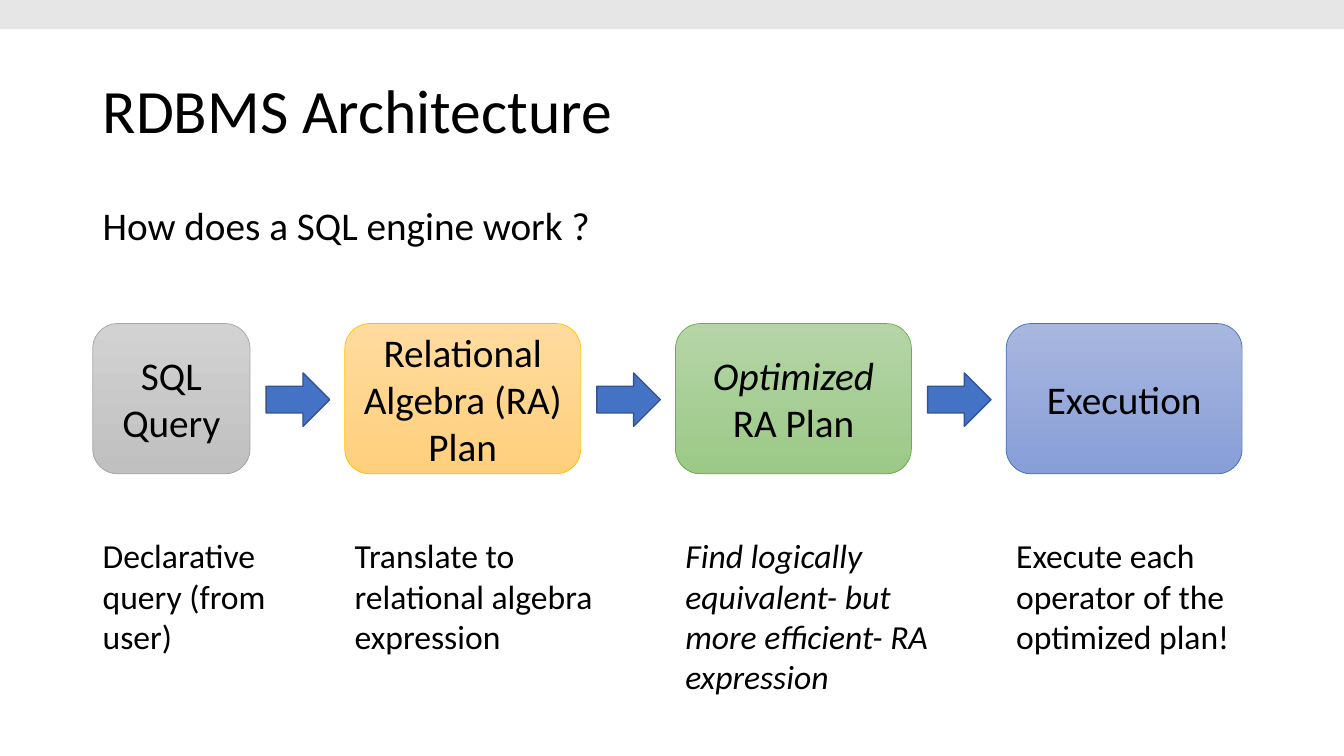
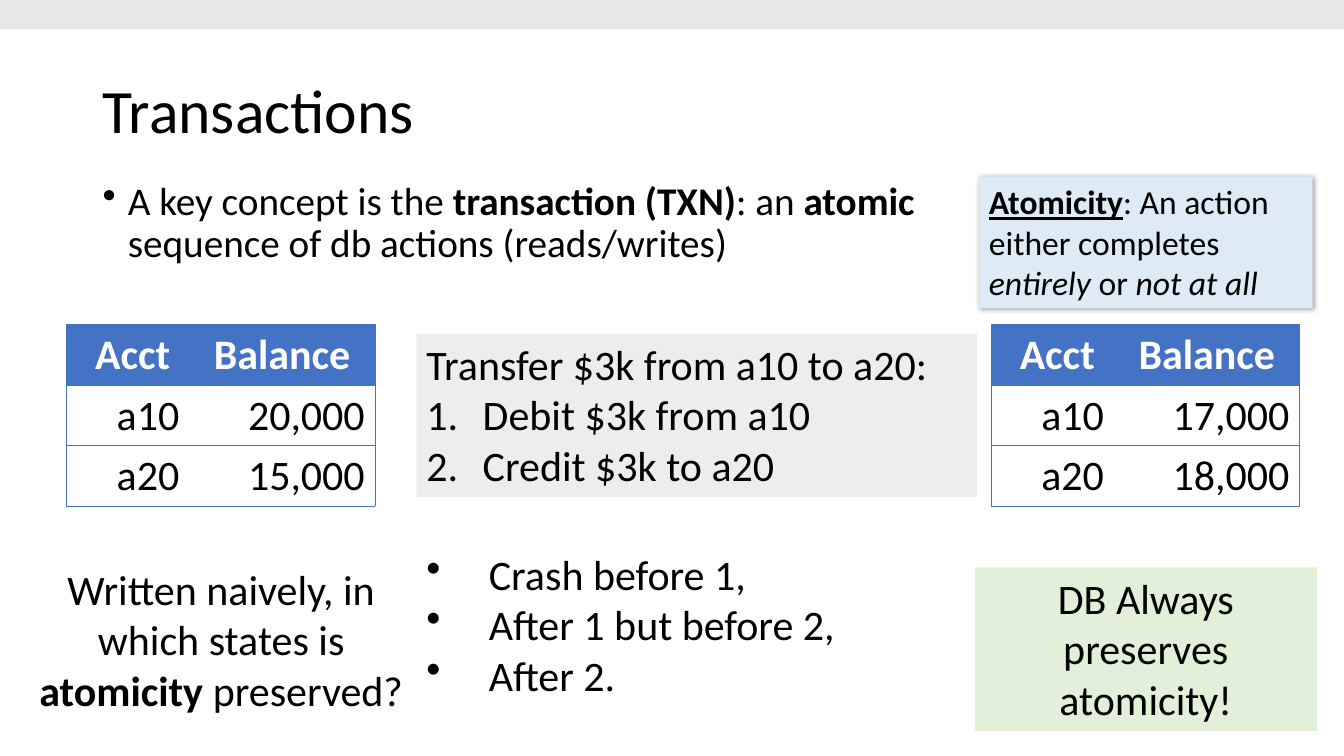
"""Build two slides on SQL engine architecture and database transactions."""
from lxml.etree import SubElement
from pptx import Presentation
from pptx.dml.color import RGBColor
from pptx.enum.shapes import MSO_SHAPE as Shape
from pptx.enum.text import MSO_ANCHOR as Anchor, PP_ALIGN as Align
from pptx.oxml.ns import qn
from pptx.util import Inches, Pt

FONT = "Calibri"
BLACK, WHITE, BLUE, BLUE_EDGE = "000000", "FFFFFF", "4472C4", "325491"
BAND, PALE_GREY, PALE_BLUE, PALE_GREEN = "E7E6E6", "EDEDED", "DEEBF7", "E2F0D9"
colour = RGBColor.from_string


def add_box(page, place, kind=None, fill=None, line=None, line_width=1):
    left, top, width, height = [Inches(length) for length in place]
    if kind is None:
        box = page.shapes.add_textbox(left, top, width, height)
    else:
        box = page.shapes.add_shape(kind, left, top, width, height)
    box.shadow.inherit = False
    if fill:
        box.fill.solid()
        box.fill.fore_color.rgb = colour(fill)
    if line:
        box.line.color.rgb = colour(line)
        box.line.width = Pt(line_width)
    else:
        box.line.fill.background()
    return box


def write(frame, paragraphs, size, ink=BLACK, align=Align.LEFT, anchor=Anchor.TOP, spacing=1.0):
    frame.word_wrap = True
    frame.vertical_anchor = anchor
    for index, runs in enumerate(paragraphs):
        para = frame.add_paragraph() if index else frame.paragraphs[0]
        para.alignment = align
        para.line_spacing = spacing
        for text, style in runs:
            span = para.add_run()
            span.text = text
            span.font.name = FONT
            span.font.size = Pt(size)
            span.font.color.rgb = colour(ink)
            span.font.bold = "b" in style
            span.font.italic = "i" in style
            span.font.underline = "u" in style


deck = Presentation()
deck.slide_width, deck.slide_height = Inches(13.33), Inches(7.5)

pages = []
for title in ["RDBMS Architecture", "Transactions"]:
    page = deck.slides.add_slide(deck.slide_layouts[6])
    add_box(page, (0, 0, 13.33, 0.29), Shape.RECTANGLE, BAND)
    heading = add_box(page, (0.92, 0.4, 11.5, 1.45))
    write(heading.text_frame, [[(title, "")]], 44, anchor=Anchor.MIDDLE, spacing=0.9)
    pages.append(page)
architecture, transactions = pages

question = add_box(architecture, (0.92, 2, 11.5, 0.66))
write(question.text_frame, [[("How does a SQL engine work ?", "")]], 28, spacing=0.9)

stages = [
    (1.56, "D2D2D2", "C0C0C0", "A5A5A5", [("SQL Query", "")],
     ("Declarative query (from user)", "")),
    (2.34, "FFDB9E", "FFD07C", "FFC000", [("Relational Algebra (RA) Plan", "")],
     ("Translate to relational algebra expression", "")),
    (2.34, "B5D5A7", "9CC987", "70AD47", [("Optimized", "i"), (" RA Plan", "")],
     ("Find logically equivalent- but more efficient- RA expression", "i")),
    (2.34, "A8B7DF", "889ED7", BLUE, [("Execution", "")],
     ("Execute each operator of the optimized plan!", "")),
]
left, gap = 0.92, 0.94
for index, (width, light, dark, edge, label, caption) in enumerate(stages):
    if index:
        add_box(architecture, (left - gap + 0.16, 3.7, 0.63, 0.53),
                Shape.RIGHT_ARROW, BLUE, BLUE_EDGE)
    stage = add_box(architecture, (left, 3.21, width, 1.49),
                    Shape.ROUNDED_RECTANGLE, line=edge, line_width=0.5)
    stage.fill.gradient()
    stage.fill.gradient_angle = 270
    for stop, shade in zip(stage.fill.gradient_stops, (light, dark)):
        stop.color.rgb = colour(shade)
    write(stage.text_frame, [label], 28, align=Align.CENTER, anchor=Anchor.MIDDLE)
    note = add_box(architecture, (left, 5.26, width + 0.36, 1.31))
    write(note.text_frame, [[caption]], 24)
    left += width + gap

concept = add_box(transactions, (0.92, 1.75, 8.39, 1))
write(concept.text_frame, [[
    ("A key concept is the ", ""), ("transaction (TXN)", "b"), (": an ", ""),
    ("atomic ", "b"), ("sequence of db actions (reads/writes)", ""),
]], 28, spacing=0.9)

definition = add_box(transactions, (9.71, 1.75, 3.31, 1.31), fill=PALE_BLUE)
write(definition.text_frame, [[
    ("Atomicity", "bu"), (": An action either completes ", ""), ("entirely", "i"),
    (" or ", ""), ("not at all", "i"),
]], 24)
effects = definition._element.spPr.find(qn("a:effectLst"))
shadow = SubElement(effects, qn("a:outerShdw"), blurRad=str(Pt(4)), dist=str(Pt(1)),
                    dir="2700000", algn="tl", rotWithShape="0")
tint = SubElement(shadow, qn("a:srgbClr"), val=BLACK)
SubElement(tint, qn("a:alpha"), val="40000")

for left, balances in [(0.66, ("20,000", "15,000")), (9.83, ("17,000", "18,000"))]:
    rows = [(" Acct", "Balance"), *zip(("a10", "a20"), balances)]
    table = transactions.shapes.add_table(
        3, 2, Inches(left), Inches(3.22), Inches(3.06), Inches(1.8)).table
    table.first_row = table.horz_banding = False
    for column, width in zip(table.columns, (1.22, 1.84)):
        column.width = Inches(width)
    for row_index, row in enumerate(rows):
        header = row_index == 0
        for column_index, text in enumerate(row):
            cell = table.cell(row_index, column_index)
            properties = cell._tc.get_or_add_tcPr()
            inner_side = "R" if column_index == 0 else "L"
            for side in "LRTB":
                border = SubElement(properties, qn(f"a:ln{side}"), w=str(Pt(0.5)))
                if side == inner_side:
                    SubElement(border, qn("a:noFill"))
                else:
                    stroke = SubElement(border, qn("a:solidFill"))
                    SubElement(stroke, qn("a:srgbClr"), val=BLUE)
            cell.fill.solid()
            cell.fill.fore_color.rgb = colour(BLUE if header else WHITE)
            write(cell.text_frame, [[(text, "b" if header else "")]], 30,
                  WHITE if header else BLACK, Align.CENTER if header else Align.RIGHT)

transfer = add_box(transactions, (4.13, 3.31, 5.56, 1.62), fill=PALE_GREY)
write(transfer.text_frame, [
    [("Transfer $3k from a10 to a20:", "")],
    [("Debit $3k from a10", "")],
    [("Credit $3k to a20", "")],
], 30)

crashes = add_box(transactions, (4.13, 5.39, 5.43, 1.62))
write(crashes.text_frame, [
    [("Crash before 1,", "")],
    [("After 1 but before 2,", "")],
    [("After 2.", "")],
], 30)

naive = add_box(transactions, (0.21, 5.54, 3.97, 1.62))
write(naive.text_frame, [[
    ("Written naively, in which states is ", ""), ("atomicity", "b"), (" preserved?", ""),
]], 30, align=Align.CENTER)

promise = add_box(transactions, (9.67, 5.63, 3.39, 1.62), fill=PALE_GREEN)
write(promise.text_frame, [[("DB Always preserves atomicity!", "")]], 30, align=Align.CENTER)

dot = ("a:buChar", {"char": "•"})
number = ("a:buAutoNum", {"type": "arabicPeriod"})
for box, first, hang, (tag, marker) in [
    (concept, 0, 0.25, dot), (transfer, 1, 0.56, number), (crashes, 0, 0.62, dot),
]:
    for para in box.text_frame.paragraphs[first:]:
        properties = para._p.get_or_add_pPr()
        properties.set("marL", str(Inches(hang)))
        properties.set("indent", str(-Inches(hang)))
        SubElement(properties, qn(tag), marker)

deck.save("out.pptx")
